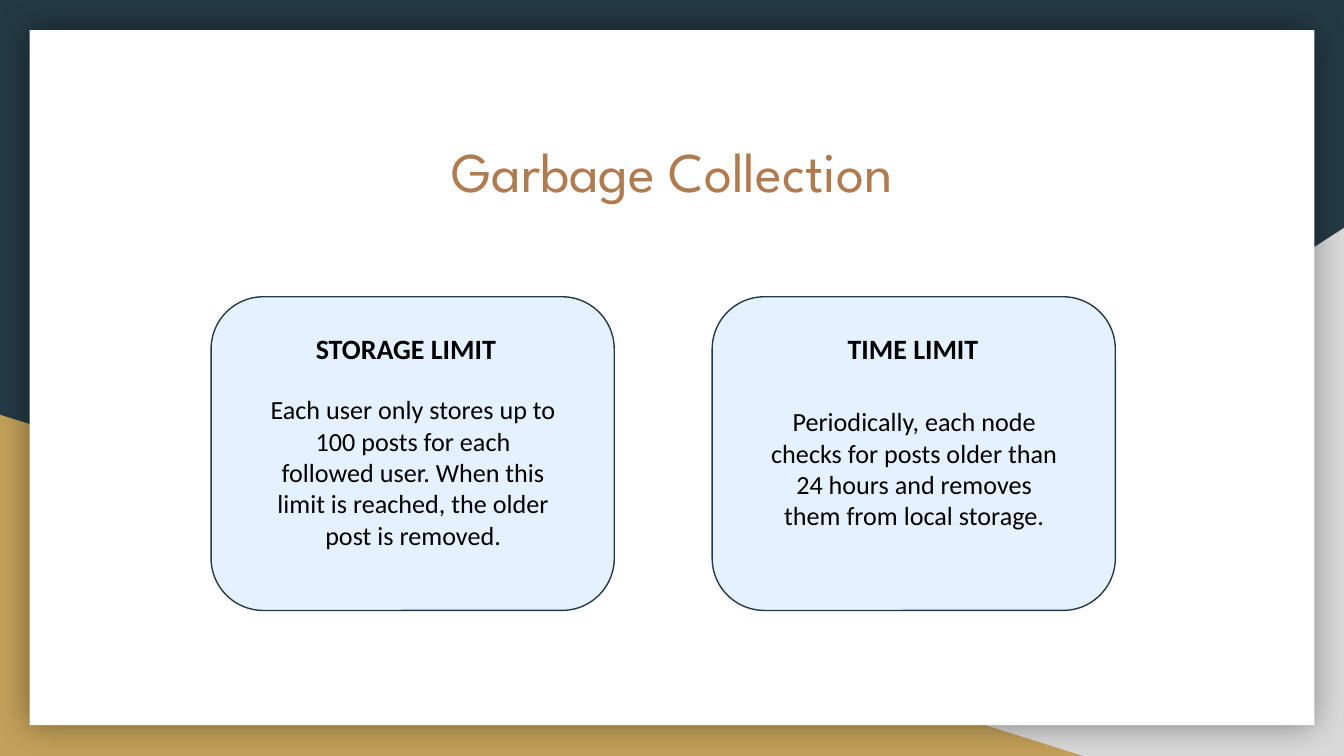
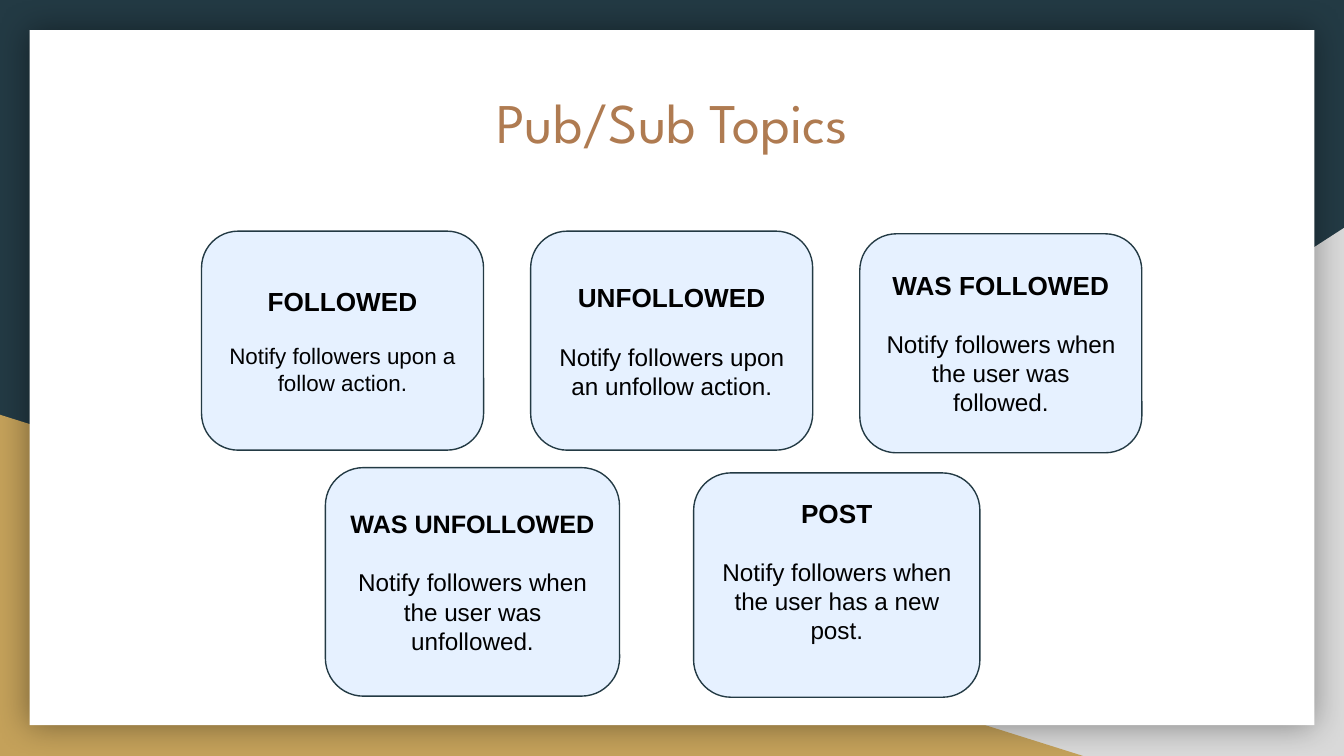
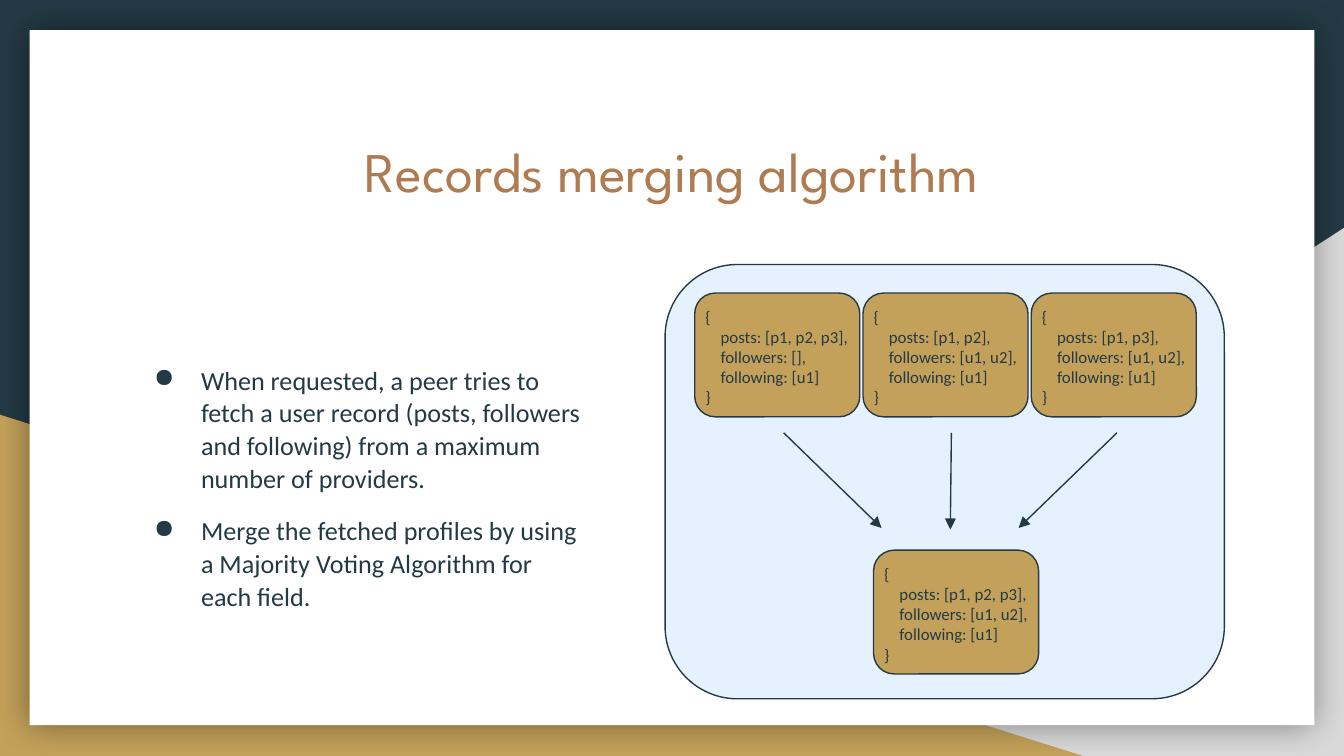
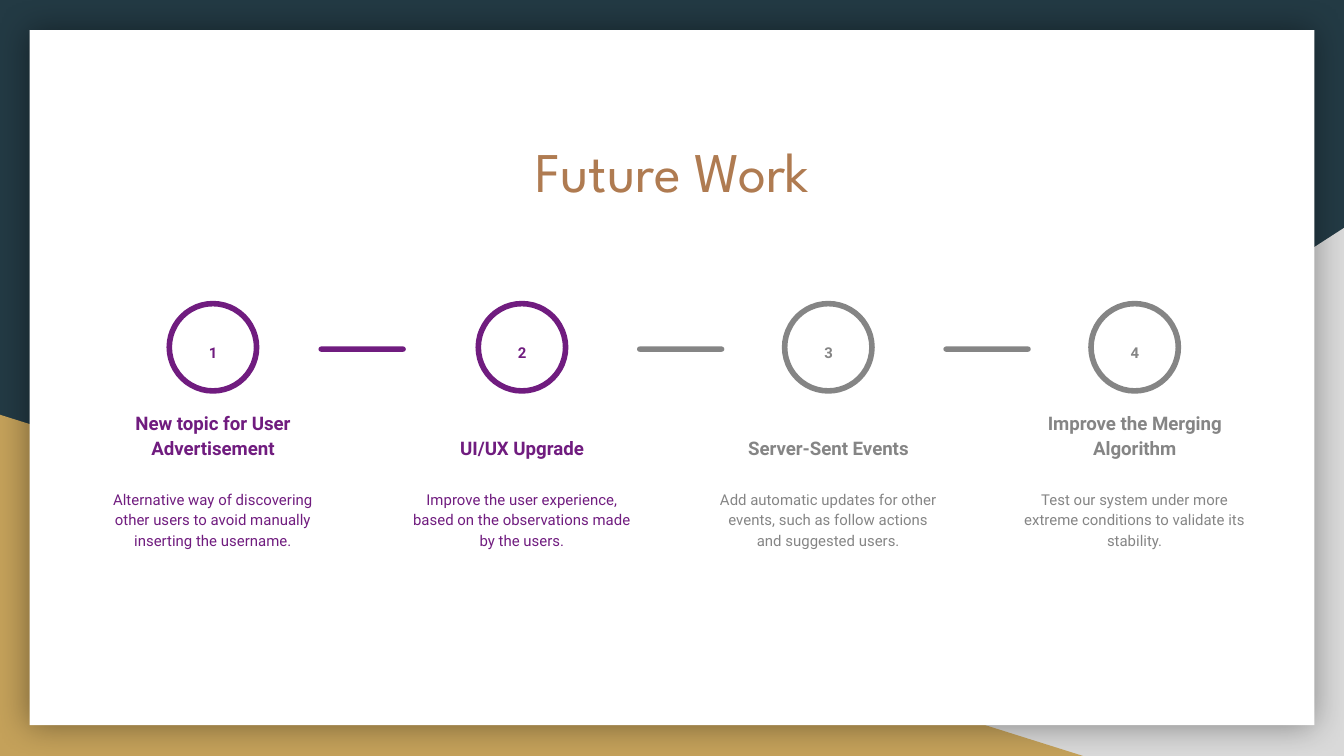
import pptx
import pptx.dml.color
import pptx.enum.shapes
import pptx.enum.text
import pptx.oxml
import pptx.oxml.ns
import pptx.util
from lxml import etree

Cm = pptx.util.Cm
Pt = pptx.util.Pt
RGBColor = pptx.dml.color.RGBColor
Shape = pptx.enum.shapes.MSO_SHAPE
Align = pptx.enum.text.PP_ALIGN
Anchor = pptx.enum.text.MSO_ANCHOR
qn = pptx.oxml.ns.qn

NAVY = RGBColor(0x23, 0x3A, 0x44)
GOLD = RGBColor(0xC4, 0xA1, 0x5A)
SILVER = RGBColor(0xD9, 0xD9, 0xD9)
WHITE = RGBColor(0xFF, 0xFF, 0xFF)
BLACK = RGBColor(0, 0, 0)
COPPER = RGBColor(0xAF, 0x7B, 0x51)
SKY = RGBColor(0xCF, 0xE4, 0xFF)
PURPLE = RGBColor(0x70, 0x1C, 0x7F)
GRAY = RGBColor(0x85, 0x85, 0x85)

TITLE_FONT = "League Spartan"
INSET = 0.25


def add_xml(parent, tag, **attributes):
    child = etree.SubElement(parent, qn(tag))
    for name, value in attributes.items():
        child.set(name, str(value))
    return child


def write(frame, text, font="Calibri", size=14, color=BLACK, bold=False,
          align=Align.LEFT, line_spacing=None, before=None, after=None,
          indent=0, hanging=0, bullet=None):
    """Add one paragraph to the frame, using its empty first one if there is one."""
    paragraph = frame.paragraphs[0]
    if paragraph.runs:
        paragraph = frame.add_paragraph()
    run = paragraph.add_run()
    run.text = text
    run.font.name = font
    run.font.size = Pt(size)
    run.font.bold = bold
    run.font.color.rgb = color
    paragraph.alignment = align
    if line_spacing:
        paragraph.line_spacing = line_spacing
    if before:
        paragraph.space_before = Pt(before)
    if after:
        paragraph.space_after = Pt(after)
    properties = paragraph._p.get_or_add_pPr()
    if indent:
        properties.set("marL", str(Cm(indent)))
        properties.set("indent", str(-Cm(hanging)))
    if bullet:
        add_xml(add_xml(properties, "a:buClr"), "a:srgbClr", val=color)
        add_xml(properties, "a:buChar", char=bullet)


def set_up_frame(frame, anchor=Anchor.TOP, wrap=True, bottom=INSET):
    frame.word_wrap = wrap
    frame.auto_size = pptx.enum.text.MSO_AUTO_SIZE.NONE
    frame.vertical_anchor = anchor
    frame.margin_left = frame.margin_right = frame.margin_top = Cm(INSET)
    frame.margin_bottom = Cm(bottom)
    return frame


def add_frame(shapes, left, top, width, height, **setup):
    box = shapes.add_textbox(Cm(left), Cm(top), Cm(width), Cm(height))
    return set_up_frame(box.text_frame, **setup)


def add_figure(shapes, kind, left, top, width, height, fill=None, line=None,
               line_width=0.75, alpha=None):
    figure = shapes.add_shape(kind, Cm(left), Cm(top), Cm(width), Cm(height))
    figure.shadow.inherit = False
    if fill is None:
        figure.fill.background()
    else:
        figure.fill.solid()
        figure.fill.fore_color.rgb = fill
    if alpha:
        tint = figure.element.spPr.find(qn("a:solidFill"))[0]
        add_xml(tint, "a:alpha", val=alpha * 1000)
    if line is None:
        figure.line.fill.background()
    else:
        figure.line.color.rgb = line
        figure.line.width = Pt(line_width)
    return figure


def add_card(shapes, left, top, width, height, fill=SKY, alpha=50):
    return add_figure(shapes, Shape.ROUNDED_RECTANGLE, left, top, width, height,
                      fill=fill, line=NAVY, alpha=alpha)


def add_arrow(shapes, start, end):
    ends = [Cm(length) for length in (*start, *end)]
    arrow = shapes.add_connector(pptx.enum.shapes.MSO_CONNECTOR.STRAIGHT, *ends)
    arrow.line.color.rgb = NAVY
    arrow.line.width = Pt(0.75)
    add_xml(arrow.line._get_or_add_ln(), "a:tailEnd", type="triangle")
    add_xml(arrow.element.spPr, "a:effectLst")


def add_titled_slide(deck, layout, title, top=2.33):
    slide = deck.slides.add_slide(layout)
    heading = slide.shapes.title
    heading.left, heading.top = Cm(2.28), Cm(top)
    heading.width, heading.height = Cm(20.85), Cm(2.65)
    write(set_up_frame(heading.text_frame), title, font=TITLE_FONT, size=30,
          color=COPPER, align=Align.CENTER)
    return slide


def decorate_layout(layout, slide):
    """Give the layout its background, corner triangles and white sheet.

    Layouts cannot create shapes, so they are drawn on the slide and moved.
    """
    for placeholder in list(layout.placeholders):
        if placeholder.placeholder_format.idx != 0:
            layout.shapes.element.remove(placeholder.element)
    layout.background.fill.solid()
    layout.background.fill.fore_color.rgb = NAVY

    right_corner = add_figure(slide.shapes, Shape.RIGHT_TRIANGLE,
                              9.96, 4.31, 15.44, 9.98, fill=SILVER)
    right_corner.element.spPr.find(qn("a:xfrm")).set("flipH", "1")
    left_corner = add_figure(slide.shapes, Shape.RIGHT_TRIANGLE,
                             0, 7.84, 20.47, 6.45, fill=GOLD)
    sheet = add_figure(slide.shapes, Shape.RECTANGLE,
                       0.56, 0.57, 24.28, 13.14, fill=WHITE)
    effects = sheet.element.spPr.find(qn("a:effectLst"))
    shadow = add_xml(effects, "a:outerShdw", blurRad=Pt(18), dist=0,
                     algn="bl", rotWithShape=0)
    add_xml(add_xml(shadow, "a:srgbClr", val=BLACK), "a:alpha", val=40000)
    for part in (right_corner, left_corner, sheet):
        layout.shapes.element.append(part.element)


def fill_garbage_collection(slide):
    shapes = slide.shapes
    for left in (3.99, 13.46):
        add_card(shapes, left, 5.61, 7.62, 5.93)
    limits = [
        ("STORAGE LIMIT", 5.72, 4.19, 4.8, 7.19, 3.5,
         "Each user only stores up to 100 posts for each followed user. "
         "When this limit is reached, the older post is removed."),
        ("TIME LIMIT", 15.77, 3.02, 14.27, 7.42, 2.9,
         "Periodically, each node checks for posts older than 24 hours "
         "and removes them from local storage."),
    ]
    for name, name_left, name_width, left, top, height, rule in limits:
        label = add_frame(shapes, name_left, 6.02, name_width, 1.15, wrap=False)
        write(label, name, size=15, bold=True)
        write(add_frame(shapes, left, top, 6.02, height), rule, align=Align.CENTER)


def fill_topics(slide):
    row = [3.81 + 6.22 * column for column in range(3)]
    # name, message, place, name size, gap, message size, bottom inset
    topics = [
        ("FOLLOWED", "Notify followers upon a follow action.",
         (row[0], 4.37, 5.33, 4.14), 14, 14, 12, INSET),
        ("UNFOLLOWED", "Notify followers upon an unfollow action.",
         (row[1], 4.37, 5.33, 4.14), 14, 16, 13, INSET),
        ("WAS FOLLOWED", "Notify followers when the user was followed.",
         (row[2], 4.42, 5.33, 4.14), 14, 15, 13, INSET),
        ("WAS UNFOLLOWED", "Notify followers when the user was unfollowed.",
         (6.15, 8.84, 5.56, 4.32), 13.5, 15.5, 13, INSET),
        ("POST", "Notify followers when the user has a new post.",
         (13.11, 8.94, 5.41, 4.24), 14, 15, 13, 0.78),
    ]
    for name, message, place, name_size, gap, size, bottom in topics:
        card = add_card(slide.shapes, *place)
        frame = set_up_frame(card.text_frame, anchor=Anchor.MIDDLE, bottom=bottom)
        write(frame, name, font="Arial", size=name_size, bold=True,
              align=Align.CENTER, after=gap)
        write(frame, message, font="Arial", size=size, align=Align.CENTER)


def add_record(shapes, left, top, posts, followers):
    add_card(shapes, left, top, 3.12, 2.34, fill=GOLD, alpha=None)
    frame = add_frame(shapes, left - 0.05, top, 3.45, 2.64)
    fields = [f"posts: [{posts}],", f"followers: [{followers}],", "following: [u1]"]
    write(frame, "{", size=9, color=NAVY)
    for field in fields:
        write(frame, field, size=9, color=NAVY, indent=0.29)
    write(frame, "}", size=9, color=NAVY)


def fill_merging(slide):
    shapes = slide.shapes
    add_card(shapes, 12.57, 5, 10.57, 8.21)
    steps = add_frame(shapes, 2.28, 6.6, 9.1, 4.98)
    style = dict(color=NAVY, line_spacing=1.05, indent=1.27, hanging=0.89, bullet="●")
    write(steps, "When requested, a peer tries to fetch a user record (posts, "
          "followers and following) from a maximum number of providers.", **style)
    write(steps, "Merge the fetched profiles by using a Majority Voting "
          "Algorithm for each field.", before=10, **style)

    fetched = [("p1, p2, p3", ""), ("p1, p2", "u1, u2"), ("p1, p3", "u1, u2")]
    for column, (posts, followers) in enumerate(fetched):
        add_record(shapes, 13.13 + 3.18 * column, 5.54, posts, followers)
    add_record(shapes, 16.51, 10.4, "p1, p2, p3", "u1, u2")

    add_arrow(shapes, (14.81, 8.18), (16.66, 9.98))
    add_arrow(shapes, (17.98, 8.18), (17.96, 10.01))
    add_arrow(shapes, (21.11, 8.18), (19.25, 9.98))


def add_step(slide, number, left, color, name, detail):
    shapes = slide.shapes.add_group_shape().shapes
    style = dict(font="Roboto", color=color, align=Align.CENTER, line_spacing=1.15)
    add_figure(shapes, Shape.OVAL, left, 5.74, 1.65, 1.65, line=color, line_width=3)
    write(add_frame(shapes, left + 0.22, 6.2, 1.22, 0.89), str(number),
          size=8, bold=True, **style)
    write(add_frame(shapes, left - 1.55, 7.7, 4.75, 1.24, anchor=Anchor.BOTTOM),
          name, size=10, bold=True, **style)
    write(add_frame(shapes, left - 1.55, 8.97, 4.75, 2.06), detail, size=8, **style)


def fill_future_work(slide):
    steps = [
        (3.2, PURPLE, "New topic for User Advertisement",
         "Alternative way of discovering other users to avoid manually "
         "inserting the username."),
        (9.04, PURPLE, "UI/UX Upgrade",
         "Improve the user experience, based on the observations made by the users."),
        (14.83, GRAY, "Server-Sent Events",
         "Add automatic updates for other events, such as follow actions "
         "and suggested users."),
        (20.62, GRAY, "Improve the Merging Algorithm",
         "Test our system under more extreme conditions to validate its stability."),
    ]
    for number, step in enumerate(steps, start=1):
        add_step(slide, number, *step)
    for left, color in ((6.02, PURPLE), (12.04, GRAY), (17.83, GRAY)):
        dash = add_figure(slide.shapes, Shape.ROUNDED_RECTANGLE,
                          left, 6.55, 1.65, 0.1, fill=color)
        dash.adjustments[0] = 0.5


def main():
    deck = pptx.Presentation()
    deck.slide_width, deck.slide_height = Cm(25.4), Cm(14.29)
    layout = deck.slide_layouts[5]

    garbage = add_titled_slide(deck, layout, "Garbage Collection")
    decorate_layout(layout, garbage)
    fill_garbage_collection(garbage)
    fill_topics(add_titled_slide(deck, layout, "Pub/Sub Topics", top=1.4))
    fill_merging(add_titled_slide(deck, layout, "Records merging algorithm"))
    fill_future_work(add_titled_slide(deck, layout, "Future Work"))
    deck.save("out.pptx")


if __name__ == "__main__":
    main()
